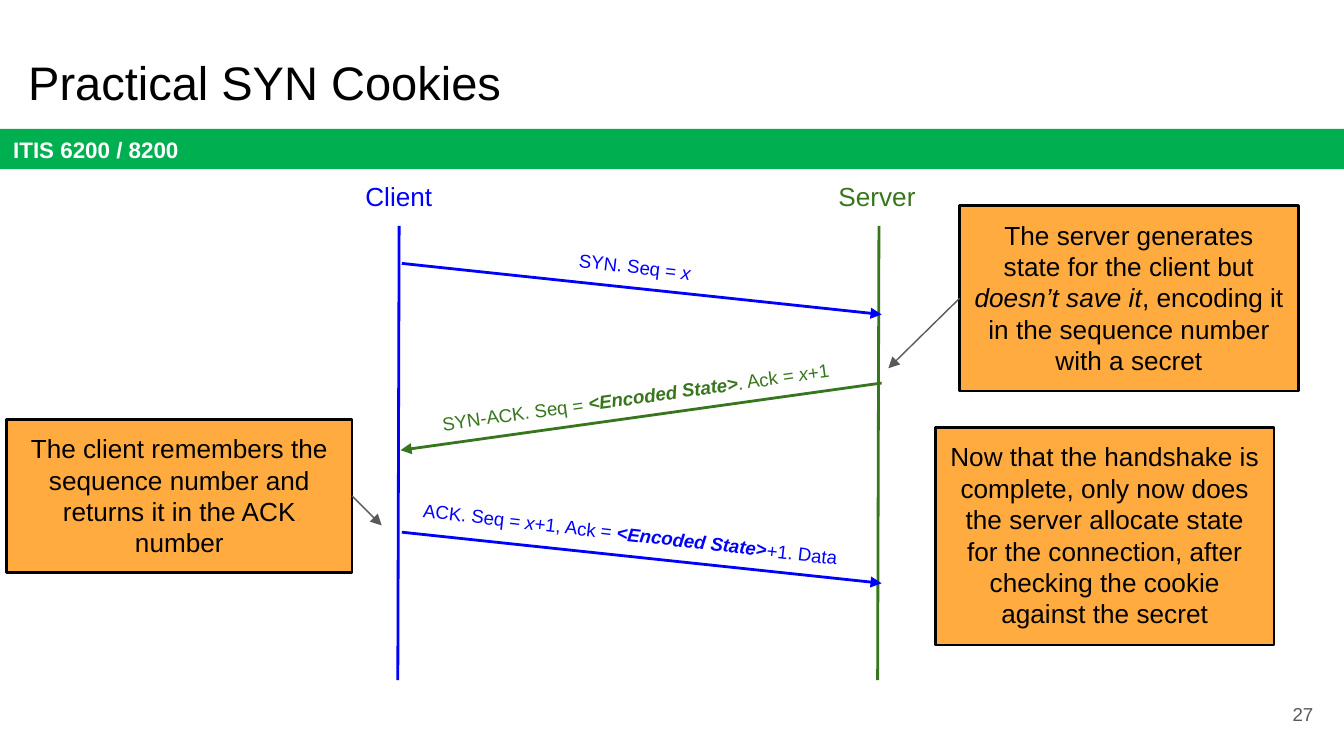
from dataclasses import dataclass

from lxml import etree
from pptx import Presentation
from pptx.dml.color import RGBColor
from pptx.enum.shapes import MSO_CONNECTOR, MSO_SHAPE
from pptx.enum.text import MSO_ANCHOR, MSO_AUTO_SIZE, PP_ALIGN
from pptx.oxml.ns import qn
from pptx.util import Inches, Pt


@dataclass(frozen=True)
class Theme:
    font: str = "Arial"
    black: RGBColor = RGBColor(0x00, 0x00, 0x00)
    white: RGBColor = RGBColor(0xFF, 0xFF, 0xFF)
    band: RGBColor = RGBColor(0x00, 0xB0, 0x50)
    client: RGBColor = RGBColor(0x00, 0x00, 0xFF)
    server: RGBColor = RGBColor(0x38, 0x76, 0x1D)
    callout: RGBColor = RGBColor(0xFF, 0xAB, 0x40)
    gray: RGBColor = RGBColor(0x59, 0x59, 0x59)
    title_size: float = 25.2
    body_size: int = 14
    band_size: int = 12
    small_size: int = 10
    heavy: float = 1.5
    thin: float = 0.75


theme = Theme()


def write(shape, runs, size, color, align=PP_ALIGN.LEFT, anchor=MSO_ANCHOR.TOP):
    """Fill a shape with one paragraph of (text, style) runs; style holds b and/or i."""
    frame = shape.text_frame
    frame.word_wrap = True
    frame.auto_size = MSO_AUTO_SIZE.NONE
    frame.vertical_anchor = anchor
    frame.margin_left = frame.margin_right = Inches(0.1)
    frame.margin_top = frame.margin_bottom = Inches(0.1)
    paragraph = frame.paragraphs[0]
    paragraph.alignment = align
    paragraph.font.name = theme.font
    paragraph.font.size = Pt(size)
    paragraph.font.color.rgb = color
    for text, style in runs:
        run = paragraph.add_run()
        run.text = text
        if "b" in style:
            run.font.bold = True
        if "i" in style:
            run.font.italic = True


def add_line(start, end, color, width, arrow=True):
    points = [Inches(value) for value in (*start, *end)]
    line = slide.shapes.add_connector(MSO_CONNECTOR.STRAIGHT, *points)
    line.line.color.rgb = color
    line.line.width = Pt(width)
    if arrow:
        etree.SubElement(line.line._get_or_add_ln(), qn("a:tailEnd"), type="triangle")
    etree.SubElement(line._element.spPr, qn("a:effectLst"))
    return line


presentation = Presentation()
presentation.slide_width = Inches(10)
presentation.slide_height = Inches(10) * 9 // 16
slide = presentation.slides.add_slide(presentation.slide_layouts[5])

# Title, course band and slide number
band = slide.shapes.add_shape(
    MSO_SHAPE.RECTANGLE, 0, Inches(0.96), presentation.slide_width, Inches(0.3))
band.shadow.inherit = False
band.fill.solid()
band.fill.fore_color.rgb = theme.band
band.line.fill.background()
write(band, [("ITIS 6200 / 8200", "b")], theme.band_size, theme.white,
      anchor=MSO_ANCHOR.MIDDLE)

title = slide.shapes.title
title.left, title.top = Inches(0.11), Inches(0.3)
title.width, title.height = Inches(9.32), Inches(0.63)
write(title, [("Practical SYN Cookies", "")], theme.title_size, theme.black)

number = slide.shapes.add_textbox(Inches(9.27), Inches(5.1), Inches(0.6), Inches(0.43))
write(number, [("27", "")], theme.small_size, theme.gray, PP_ALIGN.RIGHT, MSO_ANCHOR.MIDDLE)

# Lifelines
lifelines = [
    ("Client", 2.62, 0.71, 2.97, theme.client),
    ("Server", 6.14, 0.78, 6.54, theme.server),
]
for name, left, width, x, color in lifelines:
    label = slide.shapes.add_textbox(Inches(left), Inches(1.24), Inches(width), Inches(0.44))
    write(label, [(name, "")], theme.body_size, color)
    add_line((x, 1.68), (x - 0.01, 5.06), color, theme.heavy, arrow=False)

# Handshake messages: arrow ends, label box (left, top, width), rotation, colour, runs
state = ("<Encoded State>", "bi")
messages = [
    ((2.99, 1.96), (6.56, 2.34), (2.97, 1.8, 3.51), 6.6, theme.client,
     [("SYN. Seq = ", ""), ("x", "i")]),
    ((6.56, 2.85), (2.98, 3.35), (3.1, 2.77, 3.26), -7.9, theme.server,
     [("SYN-ACK. Seq = ", ""), state, (". Ack = ", ""), ("x", "i"), ("+1", "")]),
    ((2.99, 3.96), (6.56, 4.34), (2.98, 3.79, 3.42), 6.6, theme.client,
     [("ACK. Seq = ", ""), ("x", "i"), ("+1, Ack = ", ""), state, ("+1. Data", "")]),
]
for start, end, box, rotation, color, runs in messages:
    add_line(start, end, color, theme.heavy)
    label = slide.shapes.add_textbox(*[Inches(value) for value in box], Inches(0.37))
    label.rotation = rotation
    write(label, runs, theme.small_size, color, PP_ALIGN.CENTER)

# Callouts: box, runs, pointer (side of the box, tip)
LEFT, RIGHT = 1, 3
callouts = [
    ((7.14, 1.53, 2.52, 1.38),
     [("The server generates state for the client but ", ""), ("doesn’t save it", "i"),
      (", encoding it in the sequence number with a secret", "")],
     (LEFT, (6.61, 2.74))),
    ((0.05, 3.12, 2.57, 1.14),
     [("The client remembers the sequence number and returns it in the ACK number", "")],
     (RIGHT, (2.84, 3.91))),
    ((6.96, 3.18, 2.52, 1.62),
     [("Now that the handshake is complete, only now does the server allocate state "
       "for the connection, after checking the cookie against the secret", "")],
     None),
]
for box, runs, pointer in callouts:
    callout = slide.shapes.add_shape(MSO_SHAPE.RECTANGLE, *[Inches(value) for value in box])
    callout.shadow.inherit = False
    callout.fill.solid()
    callout.fill.fore_color.rgb = theme.callout
    callout.line.color.rgb = theme.black
    callout.line.width = Pt(theme.heavy)
    write(callout, runs, theme.body_size, theme.black, PP_ALIGN.CENTER)
    if pointer:
        side, tip = pointer
        line = add_line(box[:2], tip, theme.gray, theme.thin)
        line.begin_connect(callout, side)

presentation.save("out.pptx")
